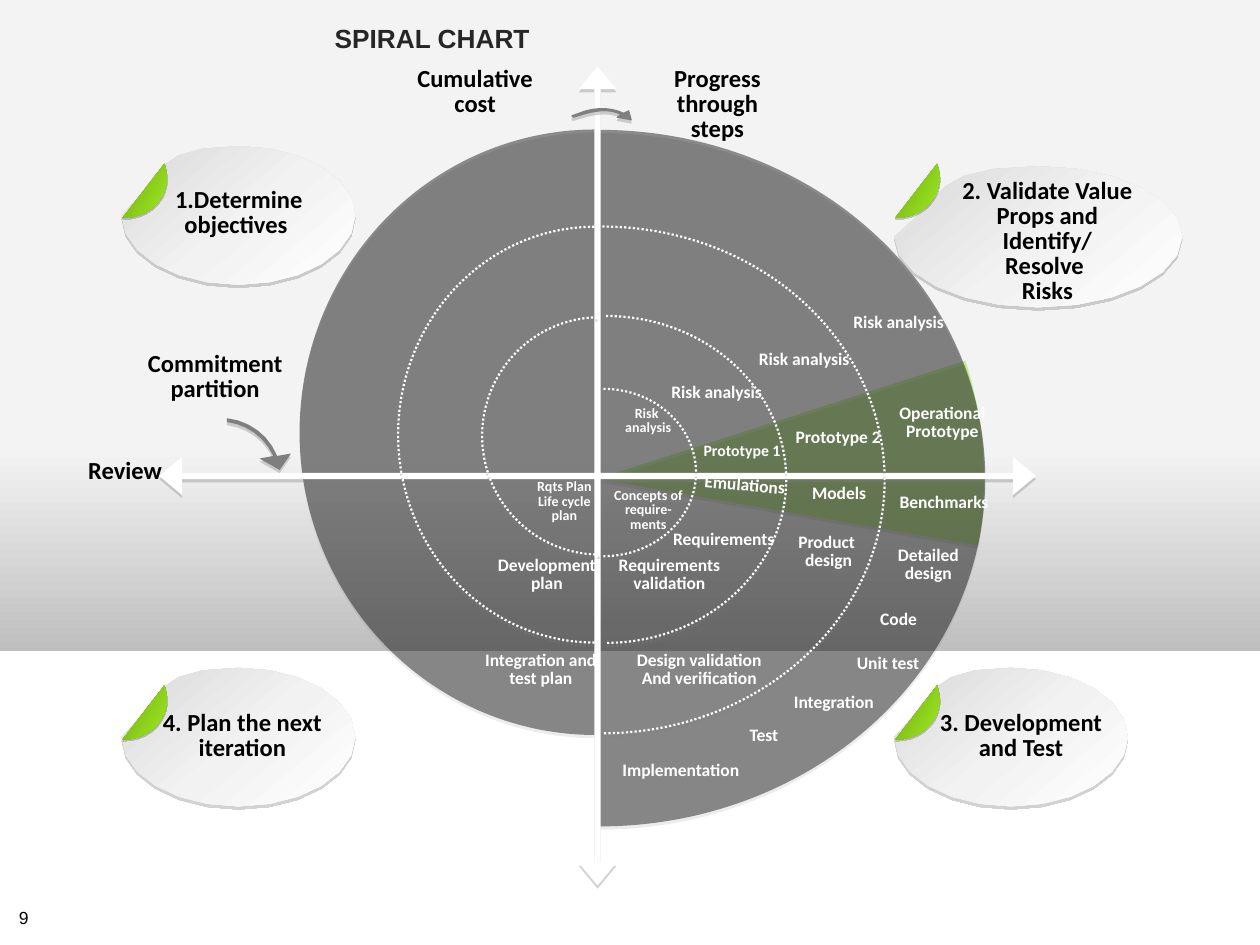
from lxml import etree
from pptx import Presentation
from pptx import util as u
from pptx.dml.color import RGBColor
from pptx.enum import dml, shapes, text
from pptx.oxml import ns

Pt = u.Pt
KIND = shapes.MSO_SHAPE
HUES = {
    "black": "000000", "white": "FFFFFF", "ink": "262626", "gray": "7F7F7F",
    "shade": "808080", "green": "90E937", "leaf": "73A919", "lime": "9EEC1E",
    "pale": "F3F3F3", "mid": "BFBFBF", "silver": "D9D9D9", "mist": "F2F2F2",
}


def rgb(name):
    return RGBColor.from_string(HUES[name])


def node(up, tag, **attrs):
    return etree.SubElement(up, ns.qn("a:" + tag), {k: str(v) for k, v in attrs.items()})


def write(box, words, size=10, hue="white", font="Calibri", bold=True, space=0.85, wrap=True):
    frame = box.text_frame
    frame.text = words
    frame.word_wrap = wrap
    frame.auto_size = text.MSO_AUTO_SIZE.SHAPE_TO_FIT_TEXT
    frame.vertical_anchor = text.MSO_ANCHOR.TOP
    for para in frame.paragraphs:
        para.alignment = text.PP_ALIGN.CENTER
        para.line_spacing = space
        for run in para.runs:
            run.font.name = font
            run.font.size = Pt(size)
            run.font.bold = bold
            run.font.color.rgb = rgb(hue)


def trace(parts, x=0, y=0, w=1, h=1, steps=6):
    dots = []
    for part in parts:
        if len(part) == 2:
            dots.append(part)
            continue
        ends = [dots[-1], part[:2], part[2:4], part[4:]]
        for i in range(1, steps + 1):
            t = i / steps
            mix = ((1 - t) ** 3, 3 * t * (1 - t) ** 2, 3 * t * t * (1 - t), t ** 3)
            dots.append(tuple(sum(m * e[k] for m, e in zip(mix, ends)) for k in (0, 1)))
    return [(x + a * w, y + b * h) for a, b in dots]


class Board:
    def __init__(self, slide):
        self.items = slide.shapes

    def dress(self, item, fill=None, alpha=100, grad=None, angle=90, line=None,
              width=0.75, shade=(35, 1.8, 90)):
        if grad:
            item.fill.gradient()
            item.fill.gradient_angle = 360 - angle
            stops = item.element.find(".//" + ns.qn("a:gsLst"))
            for old in list(stops):
                stops.remove(old)
            for place, hue in grad:
                node(node(stops, "gs", pos=place * 1000), "srgbClr", val=HUES[hue])
        elif fill:
            item.fill.solid()
            item.fill.fore_color.rgb = rgb(fill)
            if alpha < 100:
                tone = item.element.spPr.find(".//" + ns.qn("a:srgbClr"))
                node(tone, "alpha", val=alpha * 1000)
        else:
            item.fill.background()
        if line:
            item.line.color.rgb = rgb(line)
            item.line.width = Pt(width)
        else:
            item.line.fill.background()
        item.shadow.inherit = False
        if shade:
            dim, dist, way = shade
            cast = node(item.element.spPr.find(ns.qn("a:effectLst")), "outerShdw", blurRad=0,
                        dist=Pt(dist), dir=way * 60000, algn="ctr", rotWithShape=0)
            node(node(cast, "srgbClr", val=HUES["shade"]), "alpha", val=dim * 1000)
        return item

    def preset(self, kind, x, y, w, h, parts=(), **look):
        item = self.items.add_shape(kind, Pt(x), Pt(y), Pt(w), Pt(h))
        for i, part in enumerate(parts):
            item.adjustments[i] = part
        return self.dress(item, **look)

    def sweep(self, kind, x, y, rx, ry, start, end, **look):
        return self.preset(kind, x - rx, y - ry, 2 * rx, 2 * ry,
                           (start * 0.6, end * 0.6), **look)

    def outline(self, dots, **look):
        dots = [(Pt(a), Pt(b)) for a, b in dots]
        pen = self.items.build_freeform(*dots[0], scale=1.0)
        pen.add_line_segments(dots[1:], close=True)
        return self.dress(pen.convert_to_shape(), **look)

    def label(self, words, x, y, w, h=19, turn=0, **style):
        box = self.items.add_textbox(Pt(x), Pt(y), Pt(w), Pt(h))
        write(box, words, **style)
        box.rotation = turn

    def title(self, words, x, y, w, h, **style):
        box = self.items.title
        box.left, box.top, box.width, box.height = Pt(x), Pt(y), Pt(w), Pt(h)
        write(box, words, **style)
        box.element.getparent().append(box.element)


deck = Presentation()
deck.slide_width, deck.slide_height = Pt(720), Pt(540)
board = Board(deck.slides.add_slide(deck.slide_layouts[5]))

board.preset(KIND.RECTANGLE, 0, 0, 720, 372, shade=None,
             grad=[(0, "pale"), (48, "pale"), (69, "pale"), (100, "mid")])
board.label("9", 0, 516, 27, 18, font="Arial", hue="black", bold=False, space=0.9, wrap=False)
board.sweep(KIND.PIE, 341.3, 273.6, 221, 221, 342.2, 9.9, fill="green", alpha=43)

for words, *place in [
    ("Cumulative cost", 219, 35, 105, 25),
    ("Review", 38, 259, 67, 25),
    ("Commitment partition", 76, 198, 94, 41),
    ("Progress through steps", 363, 35, 94, 41),
]:
    board.label(words, *place, size=14, hue="black")

board.sweep(KIND.PIE, 342.7, 273.2, 220.3, 199, 270, 90, fill="black", alpha=43)
board.sweep(KIND.PIE, 340.2, 247, 169, 173, 90, 270, fill="black", alpha=43)
board.preset(KIND.QUAD_ARROW, 91, 38, 501, 468, (0.0077, 0.0231, 0.0277), fill="white")

for words, *place in [
    ("Implementation", 344, 432, 90),
    ("Test", 418, 412, 37),
    ("Integration", 438, 393, 77),
    ("Code", 494, 346, 39),
    ("Detailed\ndesign", 503, 309, 55, 32),
    ("Risk analysis", 475, 176, 77),
    ("Risk analysis", 421, 197, 77),
    ("Risk analysis", 371, 216, 77),
    ("Operational Prototype", 500, 228, 77, 32),
    ("Prototype 2", 444, 242, 70),
    ("Requirements", 373, 300, 81),
    ("Models", 456, 274, 47),
    ("Development plan", 272, 315, 81, 32),
    ("Integration and test plan", 262, 369, 94, 32),
    ("Benchmarks", 501, 279, 77),
    ("Emulations", 393, 269, 65, 19, 4.8),
    ("Requirements\nvalidation", 343, 315, 79, 32),
    ("Design validation\nAnd verification", 345, 369, 109, 32),
    ("Product \ndesign", 447, 302, 53, 32),
    ("Unit test", 469, 371, 77),
]:
    board.label(words, *place)
board.label("Prototype 1", 394, 250, 60, 18, size=9)
for words, *place in [
    ("Concepts of require-\nments", 338, 276, 65, 37),
    ("Rqts Plan\nLife cycle \nplan", 299.5, 271, 46, 37),
    ("Risk \nanalysis", 343, 229, 55, 27),
]:
    board.label(words, *place, size=8)

board.outline(trace([
    (129.6, 239), (142.6, 240.5, 153.4, 248.4, 158.4, 260.6), (166.3, 259.2), (159.8, 268.6),
    (148.3, 262.1), (156.2, 260.6), (151.2, 249.8, 141.1, 242.6, 129.6, 241.2),
]), fill="gray")
board.outline(trace([
    (326.9, 66.2), (334.8, 63.4), (342.7, 61.2, 350.6, 61.9, 356.4, 64.8),
    (359.3, 63.4), (360.7, 68.4), (352.8, 67), (355, 65.5),
    (349.9, 62.6, 342.7, 62.6, 334.8, 64.8), (327.6, 67),
]), fill="gray", line="gray")

for ring in [
    (344.2, 274.3, 161.3, 144.8, 270, 90),
    (339.8, 248.4, 112.3, 118.8, 90, 270),
    (346.3, 274, 103, 93.4, 270, 90),
    (342.7, 249.1, 67.2, 67.8, 90, 270),
    (344.9, 270, 52.9, 47.8, 270, 90),
]:
    line = board.sweep(KIND.ARC, *ring, line="white", width=1.25).line
    line.dash_style = dml.MSO_LINE.ROUND_DOT

board.title("SPIRAL CHART", 25, 12, 444, 25, size=15, hue="ink", font="Arial")

BLOB = [(0, 0.5), (0.19, 0.2, 0.12, 0.01, 0.5, 0), (0.78, 0, 1, 0.23, 1, 0.5),
        (1, 0.77, 0.78, 1, 0.5, 1), (0.22, 1, 0, 0.77, 0, 0.5)]
CURL = [(24.5, 0), (26.6, 6.5, 26.6, 13, 23, 19), (18.7, 26.6, 10, 31.2, 0.5, 31)]
for words, blob, curl, place in [
    ("3. Development and Test", (511, 381.6, 133.5, 79.2), 391.7, (527, 403, 113, 41)),
    ("2. Validate Value Props and Identify/ Resolve \vRisks",
     (511, 95, 164.5, 80.6), 93.6, (542, 99, 113, 75)),
    ("4. Plan the next iteration", (69.5, 381.6, 133.5, 79.2), 391.7, (82, 403, 113, 41)),
    ("1.Determine\nobjectives ", (69.5, 83.5, 133.5, 79.2), 93.6, (80, 104, 113, 41)),
]:
    board.outline(trace(BLOB, *blob), angle=50,
                  grad=[(0, "silver"), (53, "mist"), (100, "white")])
    board.outline(trace(CURL, blob[0], curl), angle=30, shade=(43, 1, 70),
                  grad=[(0, "leaf"), (100, "lime")])
    board.label(words, *place, size=14, hue="black")

deck.save("out.pptx")
